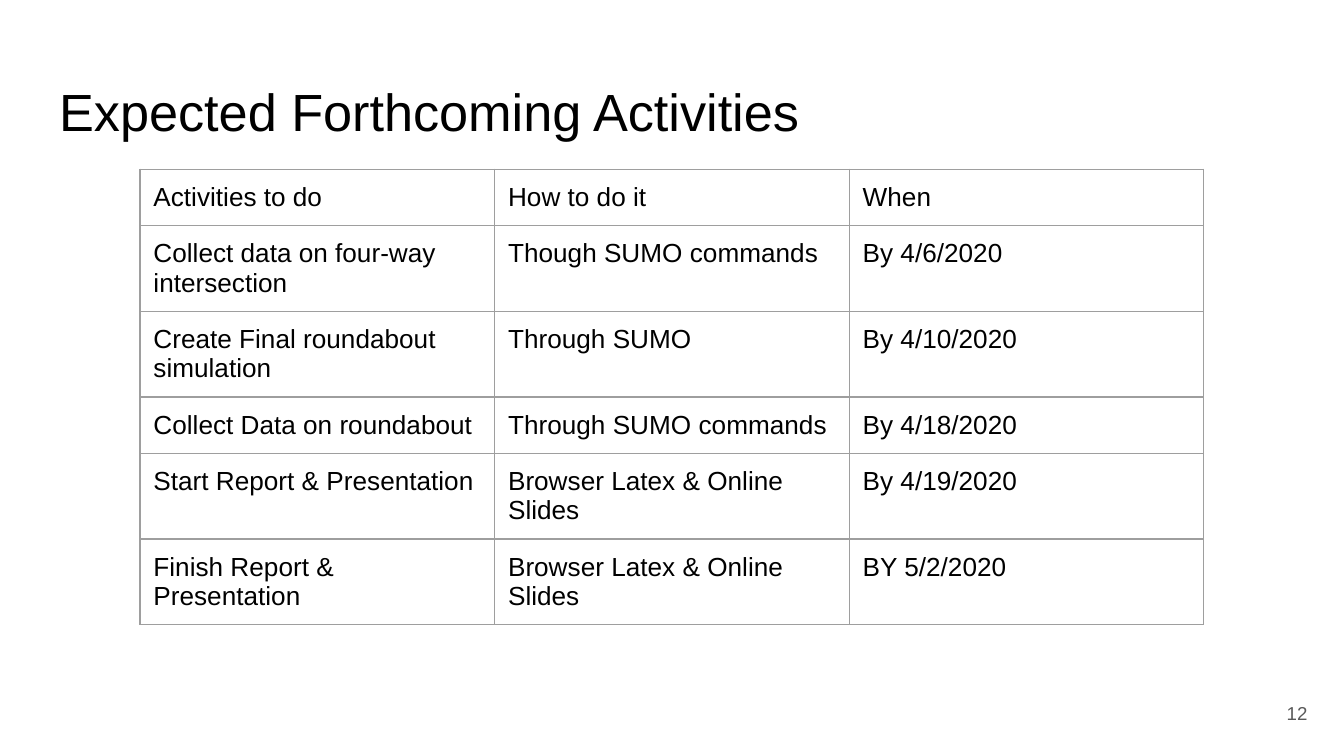
from dataclasses import dataclass

from lxml.etree import SubElement
from pptx import Presentation
from pptx.dml.color import RGBColor
from pptx.enum.text import MSO_ANCHOR, MSO_AUTO_SIZE, PP_ALIGN
from pptx.oxml.ns import qn
from pptx.util import Pt


@dataclass(frozen=True)
class Theme:
    font: str = "Arial"
    ink: str = "000000"
    muted: str = "595959"
    border: str = "9E9E9E"
    title_size: float = 28
    table_size: float = 14
    number_size: float = 10
    border_width: float = 0.75
    inset: float = 7.2


THEME = Theme()

ACTIVITIES = [
    ("Activities to do", "How to do it", "When"),
    ("Collect data on four-way intersection", "Though SUMO commands", "By 4/6/2020"),
    ("Create Final roundabout simulation", "Through SUMO", "By 4/10/2020"),
    ("Collect Data on roundabout", "Through SUMO commands", "By 4/18/2020"),
    ("Start Report & Presentation", "Browser Latex & Online Slides", "By 4/19/2020"),
    ("Finish Report & Presentation", "Browser Latex & Online Slides", "BY 5/2/2020"),
]


def set_attributes(target, values):
    for name, value in values.items():
        setattr(target, name, value)


def set_insets(target):
    """Apply the common inset to a text frame or a table cell."""
    sides = ("left", "top", "right", "bottom")
    set_attributes(target, {f"margin_{side}": Pt(THEME.inset) for side in sides})


def write(tf, text, size, color, align=PP_ALIGN.LEFT):
    p = tf.paragraphs[0]
    p.alignment = align
    r = p.add_run()
    r.text = text
    set_attributes(r.font, {"name": THEME.font, "size": Pt(size)})
    r.font.color.rgb = RGBColor.from_string(color)


def format_frame(tf, anchor):
    set_insets(tf)
    set_attributes(tf, {
        "word_wrap": True,
        "auto_size": MSO_AUTO_SIZE.NONE,
        "vertical_anchor": anchor,
    })


def add_title(s, text, left, top, width, height):
    sp = s.shapes.title
    set_attributes(sp, {
        "left": Pt(left), "top": Pt(top), "width": Pt(width), "height": Pt(height),
    })
    format_frame(sp.text_frame, MSO_ANCHOR.TOP)
    write(sp.text_frame, text, THEME.title_size, THEME.ink)


def add_borders(cell):
    tc_pr = cell._tc.get_or_add_tcPr()
    for tag in ("a:lnL", "a:lnR", "a:lnT", "a:lnB"):
        ln = SubElement(tc_pr, qn(tag), w=str(Pt(THEME.border_width)))
        fill = SubElement(ln, qn("a:solidFill"))
        SubElement(fill, qn("a:srgbClr"), val=THEME.border)


def add_activity_table(s, rows, left, top, column_width, row_height):
    columns = len(rows[0])
    frame = s.shapes.add_table(
        len(rows), columns, Pt(left), Pt(top),
        Pt(column_width * columns), Pt(row_height * len(rows)),
    )
    table = frame.table
    set_attributes(table, {"first_row": False, "horz_banding": False})
    for i, row in enumerate(rows):
        for j, text in enumerate(row):
            cell = table.cell(i, j)
            set_insets(cell)
            add_borders(cell)
            cell.fill.background()
            write(cell.text_frame, text, THEME.table_size, THEME.ink)


def add_slide_number(s, text, left, top, width, height):
    sp = s.shapes.add_textbox(Pt(left), Pt(top), Pt(width), Pt(height))
    format_frame(sp.text_frame, MSO_ANCHOR.MIDDLE)
    write(sp.text_frame, text, THEME.number_size, THEME.muted, PP_ALIGN.RIGHT)


def main():
    prs = Presentation()
    set_attributes(prs, {"slide_width": Pt(720), "slide_height": Pt(405)})
    s = prs.slides.add_slide(prs.slide_layouts[5])
    add_title(s, "Expected Forthcoming Activities", 24.5, 35, 671, 45)
    add_activity_table(s, ACTIVITIES, left=75, top=90.7, column_width=190, row_height=30)
    add_slide_number(s, "12", 664.5, 366.5, 43, 31)
    prs.save("out.pptx")


if __name__ == "__main__":
    main()
